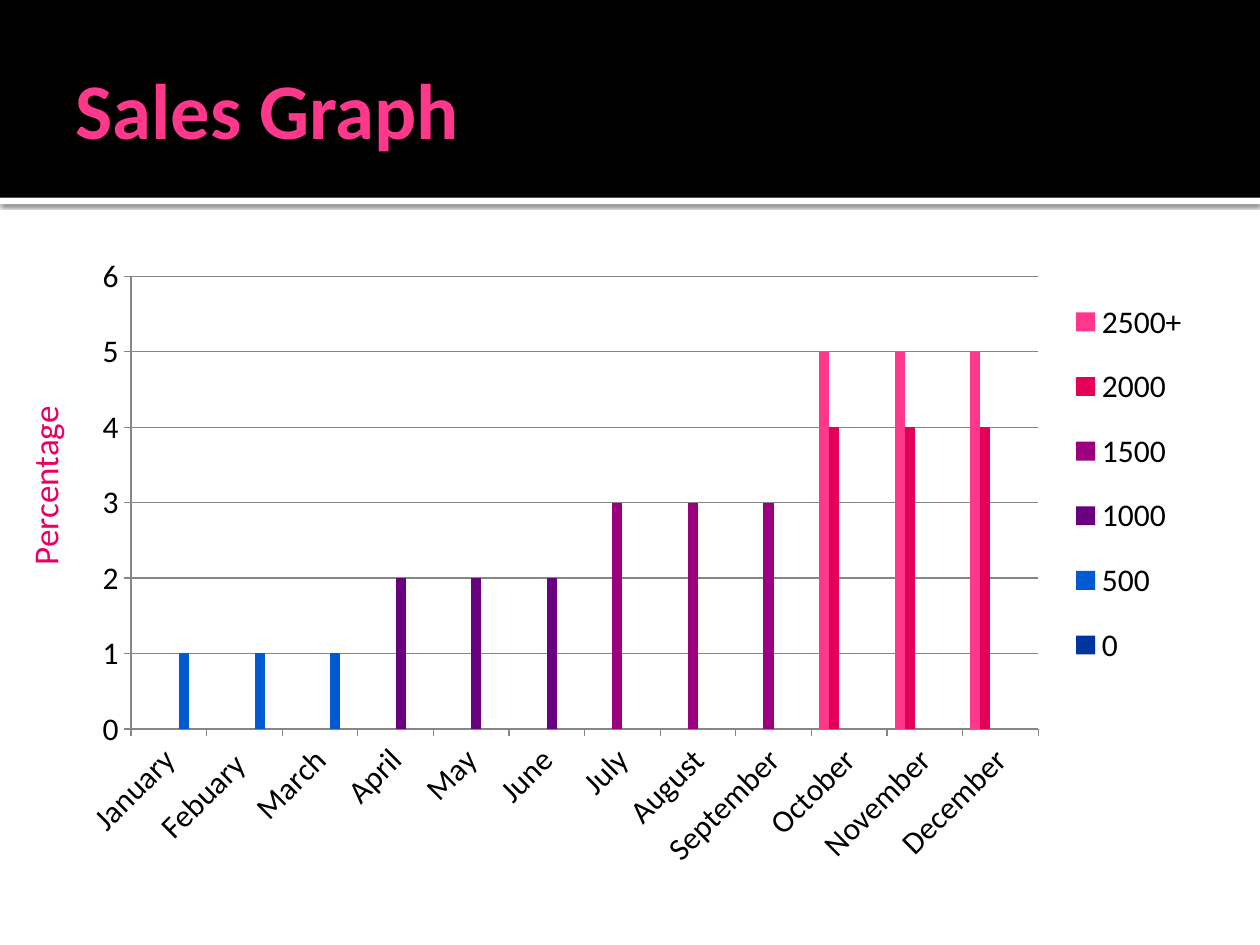
from lxml import etree
from pptx import Presentation
from pptx.chart.data import CategoryChartData
from pptx.dml.color import RGBColor
from pptx.enum.chart import XL_CHART_TYPE, XL_LEGEND_POSITION, XL_TICK_MARK
from pptx.enum.shapes import MSO_SHAPE
from pptx.enum.text import MSO_ANCHOR
from pptx.oxml import parse_xml
from pptx.oxml.ns import nsdecls, qn
from pptx.util import Inches, Pt

COLUMNS = XL_CHART_TYPE.COLUMN_CLUSTERED
LEGEND_RIGHT = XL_LEGEND_POSITION.RIGHT
TICK_OUTSIDE = XL_TICK_MARK.OUTSIDE
RECTANGLE = MSO_SHAPE.RECTANGLE
TOP, MIDDLE = MSO_ANCHOR.TOP, MSO_ANCHOR.MIDDLE

# Content
FONT = "Calibri"
TITLE = "Sales Graph"
AXIS_LABEL = "Percentage"
MONTHS = ["January", "Febuary ", "March", "April", "May", "June", "July",
          "August", "September", "October", "November", "December"]
# Sales band, color, value, months (by index) in which it applies
BANDS = [
    ("2500+", "FF388C", 5, range(9, 12)),
    ("2000", "E40059", 4, range(9, 12)),
    ("1500", "9C007F", 3, range(6, 9)),
    ("1000", "68007F", 2, range(3, 6)),
    ("500", "005BD3", 1, range(0, 3)),
    ("0", "00349E", None, ()),
]
# Fractions of the chart: left, top, width, height
PLOT_BOX = (0.06, 0.05, 0.8, 0.71)
LEGEND_BOX = (0.88, 0.05, 0.12, 0.65)


def rgb(color):
    return RGBColor.from_string(color)


def add_band(top, height, color):
    band = slide.shapes.add_shape(RECTANGLE, 0, Inches(top), Inches(10), Inches(height))
    band.fill.solid()
    band.fill.fore_color.rgb = rgb(color)
    band.line.fill.background()
    band.shadow.inherit = False
    return band


def add_label(text, box, insets, anchor, size, color, bold=False):
    label = slide.shapes.add_textbox(*map(Inches, box))
    frame = label.text_frame
    frame.word_wrap = True
    frame.vertical_anchor = anchor
    (frame.margin_left, frame.margin_top,
     frame.margin_right, frame.margin_bottom) = map(Inches, insets)
    run = frame.paragraphs[0].add_run()
    run.text = text
    font = run.font
    font.name, font.size, font.bold = FONT, Pt(size), bold
    font.color.rgb = rgb(color)
    return label


def manual_layout(box, inner=False):
    target = '<c:layoutTarget val="inner"/>' if inner else ""
    modes = '<c:xMode val="edge"/><c:yMode val="edge"/>'
    sizes = "".join(f'<c:{key} val="{value}"/>' for key, value in zip("xywh", box))
    return parse_xml(f'<c:layout {nsdecls("c")}><c:manualLayout>'
                     f'{target}{modes}{sizes}</c:manualLayout></c:layout>')


presentation = Presentation()
presentation.slide_width, presentation.slide_height = Inches(10), Inches(7.5)
slide = presentation.slides.add_slide(presentation.slide_layouts[6])

# Header: white rule with a soft shadow below a black band
header_rule = add_band(1.57, 0.05, "FFFFFF")
effects = header_rule._element.spPr.find(qn("a:effectLst"))
shadow = etree.SubElement(effects, qn("a:outerShdw"), blurRad=str(Pt(2.5)),
                          dist=str(Pt(0.8)), dir="5400000", rotWithShape="0")
shadow_color = etree.SubElement(shadow, qn("a:srgbClr"), val="000000")
etree.SubElement(shadow_color, qn("a:alpha"), val="60000")
add_band(0, 1.57, "000000")
add_label(TITLE, (0.5, 0.17, 9, 1.37), (0.1, 0.05, 0.05, 0.05), MIDDLE, 45, "FF388C", True)

# Sales chart
sales = CategoryChartData()
sales.categories = MONTHS
for name, _, value, active in BANDS:
    sales.add_series(name, [value if i in active else None for i in range(len(MONTHS))])
chart = slide.shapes.add_chart(COLUMNS, Inches(0.5), Inches(1.94),
                               Inches(9), Inches(5.06), sales).chart
chart.has_title = False
chart.font.name, chart.font.size = FONT, Pt(18)
chart.font.color.rgb = rgb("000000")

plot = chart.plots[0]
plot.vary_by_categories = False
plot.gap_width, plot.overlap = 150, 0
for series, (_, color, _, _) in zip(plot.series, BANDS):
    series.format.fill.solid()
    series.format.fill.fore_color.rgb = rgb(color)

months_axis, value_axis = chart.category_axis, chart.value_axis
value_axis.minimum_scale, value_axis.maximum_scale, value_axis.major_unit = 0, 6, 1
value_axis.has_major_gridlines = True
for line in (months_axis.format.line, value_axis.format.line,
             value_axis.major_gridlines.format.line):
    line.color.rgb = rgb("868686")
    line.width = Pt(0.75)
for axis in (months_axis, value_axis):
    axis.major_tick_mark = TICK_OUTSIDE
    axis.tick_labels.font.size = Pt(18)
months_axis._element.find(qn("c:txPr")).find(qn("a:bodyPr")).set("rot", "-2700000")

chart.has_legend = True
legend = chart.legend
legend.position = LEGEND_RIGHT
legend.include_in_layout = False
legend.font.size = Pt(18)
legend._element.find(qn("c:legendPos")).addnext(manual_layout(LEGEND_BOX))

plot_area = chart._chartSpace.chart.plotArea
for old_layout in plot_area.findall(qn("c:layout")):
    plot_area.remove(old_layout)
plot_area.insert(0, manual_layout(PLOT_BOX, inner=True))
for old_layout in legend._element.findall(qn("c:layout"))[1:]:
    legend._element.remove(old_layout)

# Value axis label
percentage = add_label(AXIS_LABEL, (-0.51, 3.1, 2.17, 0.98), (0.06, 0.1, 0.1, 0.05),
                       TOP, 20, "E90062")
percentage.rotation = 270
indents = percentage.text_frame.paragraphs[0]._p.get_or_add_pPr()
indents.set("marL", str(Inches(0.48)))
indents.set("indent", str(Inches(-0.35)))

presentation.save("out.pptx")
